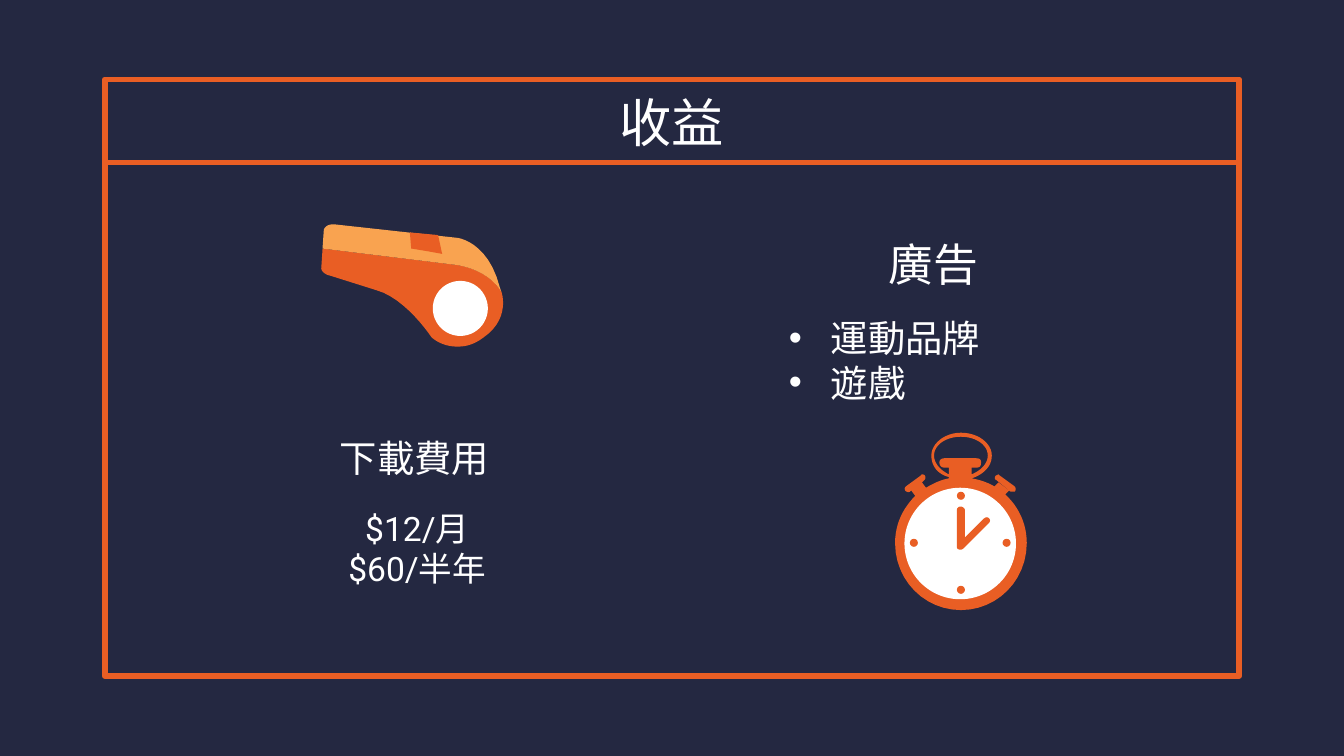
import dataclasses
import typing

import lxml.etree
import pptx
import pptx.dml.color
import pptx.enum.shapes
import pptx.enum.text
import pptx.oxml.ns
import pptx.util

NAVY, ORANGE, AMBER, WHITE = "242841", "E95E24", "F9A350", "FFFFFF"
SERIF, SANS = "TeX Gyre Bonum", "Roboto"
Cm = pptx.util.Cm
Seg = tuple[int, ...]


@dataclasses.dataclass
class Block:
    idx: int
    box: tuple[float, float, float, float]
    lines: list[str]
    size: int
    face: str
    bullet: bool = False
    foot: float = 0.25


@dataclasses.dataclass
class Path:
    tint: str
    loops: list[list[Seg]]


@dataclasses.dataclass
class Disc:
    x: int
    y: int
    size: int
    tint: str


BLOCKS = [
    Block(0, (1.98, 1.5, 21.44, 1.6), ["收益"], 28, SERIF),
    Block(4, (4.9, 8.97, 5.97, 2.79), ["$12/月", "$60/半年"], 18, SANS),
    Block(1, (4.85, 7.95, 5.97, 1.4), ["下載費用"], 20, SERIF),
    Block(2, (14.66, 5.69, 7.14, 2.79), ["運動品牌", "遊戲"], 20, SANS, True, 0.82),
    Block(3, (14.66, 4.29, 5.97, 1.4), ["廣告"], 24, SERIF),
]

WATCH = Path(ORANGE, [
    [(715, 325), (726, 325, 735, 331, 735, 339), (735, 345, 730, 350, 723, 353),
     (723, 348), (726, 348), (729, 348, 730, 347, 730, 344),
     (730, 342, 729, 341, 726, 341), (703, 341), (701, 341, 699, 342, 699, 344),
     (699, 347, 701, 348, 703, 348), (706, 348), (706, 353),
     (700, 350, 695, 345, 695, 339), (695, 331, 704, 325, 715, 325)],
    [(715, 322), (703, 322, 693, 330, 693, 339), (693, 347, 698, 353, 706, 355),
     (706, 356), (700, 357, 694, 360, 689, 363), (686, 359), (688, 357),
     (689, 356, 689, 353, 686, 353), (685, 354), (674, 362),
     (672, 364, 674, 367, 677, 366), (678, 365), (681, 369),
     (672, 378, 666, 390, 666, 404), (666, 432, 688, 454, 715, 454),
     (742, 454, 764, 432, 764, 404), (764, 390, 758, 377, 748, 368),
     (751, 365), (743, 359), (740, 362), (735, 359, 729, 357, 723, 356),
     (732, 353, 738, 347, 738, 339), (738, 330, 728, 322, 715, 322)],
])
KNOB = Path(ORANGE, [
    [(743, 353), (741, 354), (740, 355, 740, 357, 741, 357), (752, 366),
     (753, 366, 754, 366, 755, 366), (756, 365, 756, 363, 755, 362),
     (744, 354), (744, 354, 743, 353, 743, 353)],
])
HANDS = Path(ORANGE, [
    [(715, 377), (713, 377, 712, 378, 712, 380), (712, 407),
     (712, 409, 715, 410, 717, 408), (736, 389),
     (738, 387, 735, 383, 732, 386), (718, 400), (718, 380),
     (718, 378, 716, 377, 715, 377)],
])
WHISTLE = [
    Path(ORANGE, [
        [(240, 185), (239, 200), (240, 204, 245, 205, 245, 205), (280, 216),
         (302, 222, 321, 251, 321, 251), (321, 251, 328, 258, 340, 258),
         (346, 258, 352, 257, 360, 251), (377, 239, 375, 223, 373, 217),
         (362, 199, 338, 197, 338, 197), (240, 185)],
    ]),
    Path(AMBER, [
        [(248, 167), (242, 167, 241, 171, 241, 171), (240, 185), (338, 197),
         (338, 197, 362, 199, 373, 217), (372, 214),
         (363, 179, 340, 177, 340, 177), (249, 167), (248, 167)],
    ]),
    Path(ORANGE, [[(305, 173), (306, 185), (318, 187), (329, 189), (326, 175), (305, 173)]]),
]
DOTS = [Disc(x, y, 6, ORANGE) for x, y in [(712, 366), (712, 436), (677, 401), (746, 401)]]
ICONS = [WATCH, KNOB, Disc(673, 363, 83, WHITE), *DOTS, HANDS,
         *WHISTLE, Disc(322, 209, 41, WHITE)]


def tone(code: str) -> pptx.dml.color.RGBColor:
    return pptx.dml.color.RGBColor.from_string(code)


def grid(num: float) -> int:
    return Cm(num * 2.54 / 100)


def paint(shape: typing.Any, tint: str) -> None:
    shape.shadow.inherit = False
    shape.fill.solid()
    shape.fill.fore_color.rgb = tone(tint)
    shape.line.fill.background()


def trace(loop: list[Seg], steps: int = 12) -> list[tuple[int, int]]:
    spots = [loop[0]]
    for seg in loop[1:]:
        if len(seg) == 2:
            spots.append(seg)
            continue
        ends = [spots[-1], seg[:2], seg[2:4], seg[4:]]
        for step in range(1, steps + 1):
            t = step / steps
            mix = ((1 - t) ** 3, 3 * t * (1 - t) ** 2, 3 * t * t * (1 - t), t ** 3)
            spots.append(tuple(sum(m * p[k] for m, p in zip(mix, ends)) for k in (0, 1)))
    return [(grid(x), grid(y)) for x, y in spots]


def draw_path(shapes: typing.Any, path: Path) -> None:
    loops = [trace(loop) for loop in path.loops]
    pen = shapes.build_freeform(*loops[0][0])
    for num, loop in enumerate(loops):
        if num:
            pen.move_to(*loop[0])
        pen.add_line_segments(loop[1:], close=True)
    paint(pen.convert_to_shape(), path.tint)


def draw_disc(shapes: typing.Any, disc: Disc) -> None:
    box = map(grid, (disc.x, disc.y, disc.size, disc.size))
    paint(shapes.add_shape(pptx.enum.shapes.MSO_SHAPE.OVAL, *box), disc.tint)


def draw_frame(shapes: typing.Any) -> None:
    frame = shapes.add_shape(pptx.enum.shapes.MSO_SHAPE.RECTANGLE,
                             *map(Cm, (1.98, 1.5, 21.44, 11.28)))
    frame.shadow.inherit = False
    frame.fill.background()
    rule = shapes.add_connector(pptx.enum.shapes.MSO_CONNECTOR.STRAIGHT,
                                *map(Cm, (2.03, 3.07, 23.37, 3.07)))
    lxml.etree.SubElement(rule._element.spPr, pptx.oxml.ns.qn("a:effectLst"))
    for shape in (frame, rule):
        shape.line.color.rgb = tone(ORANGE)
        shape.line.width = pptx.util.Pt(3)


def set_mark(para: typing.Any, bullet: bool) -> None:
    props = para._p.get_or_add_pPr()
    dent = Cm(0.79) if bullet else 0
    props.set("marL", str(dent))
    props.set("indent", str(-dent))
    qn = pptx.oxml.ns.qn
    if bullet:
        color = lxml.etree.SubElement(props, qn("a:buClr"))
        lxml.etree.SubElement(color, qn("a:srgbClr"), val=WHITE)
        lxml.etree.SubElement(props, qn("a:buChar"), char="•")
    else:
        lxml.etree.SubElement(props, qn("a:buNone"))


def fill_block(slide: typing.Any, block: Block) -> None:
    hold = slide.placeholders[block.idx]
    hold.left, hold.top, hold.width, hold.height = map(Cm, block.box)
    frame = hold.text_frame
    frame.text = "\n".join(block.lines)
    frame.word_wrap = True
    frame.auto_size = pptx.enum.text.MSO_AUTO_SIZE.NONE
    frame.vertical_anchor = pptx.enum.text.MSO_ANCHOR.MIDDLE
    frame.margin_left = frame.margin_right = frame.margin_top = Cm(0.25)
    frame.margin_bottom = Cm(block.foot)
    align = pptx.enum.text.PP_ALIGN
    for para in frame.paragraphs:
        set_mark(para, block.bullet)
        para.alignment = align.LEFT if block.bullet else align.CENTER
        para.space_before = pptx.util.Pt(0)
        para.font.name = block.face
        para.font.size = pptx.util.Pt(block.size)
        para.font.bold = False
        para.font.color.rgb = tone(WHITE)


def main() -> None:
    deck = pptx.Presentation()
    deck.slide_width, deck.slide_height = Cm(25.4), Cm(14.29)
    slide = deck.slides.add_slide(deck.slide_layouts.get_by_name("Comparison"))
    slide.background.fill.solid()
    slide.background.fill.fore_color.rgb = tone(NAVY)
    draw_frame(slide.shapes)
    for block in BLOCKS:
        fill_block(slide, block)
    for icon in ICONS:
        if isinstance(icon, Path):
            draw_path(slide.shapes, icon)
        else:
            draw_disc(slide.shapes, icon)
    deck.save("out.pptx")


if __name__ == "__main__":
    main()
